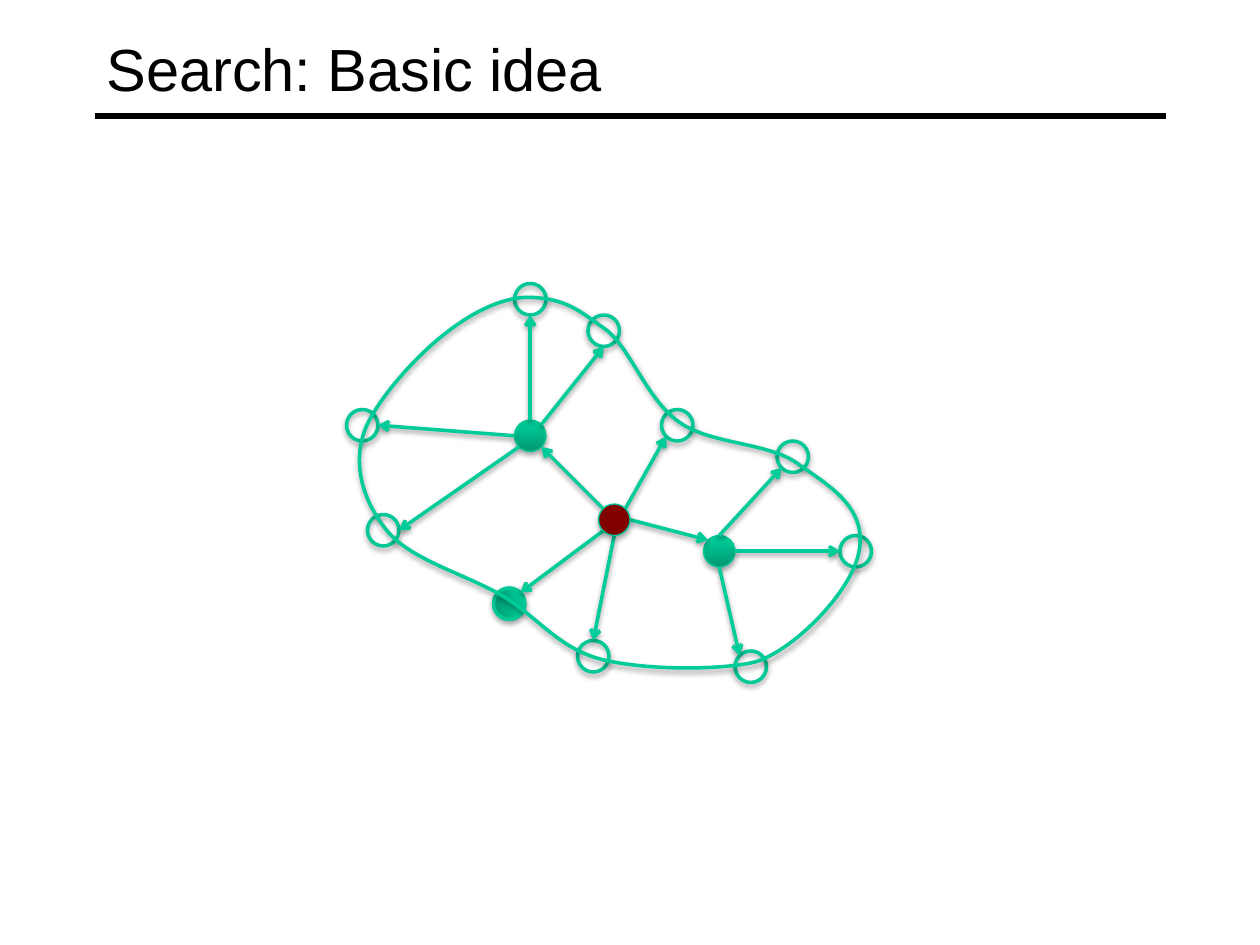
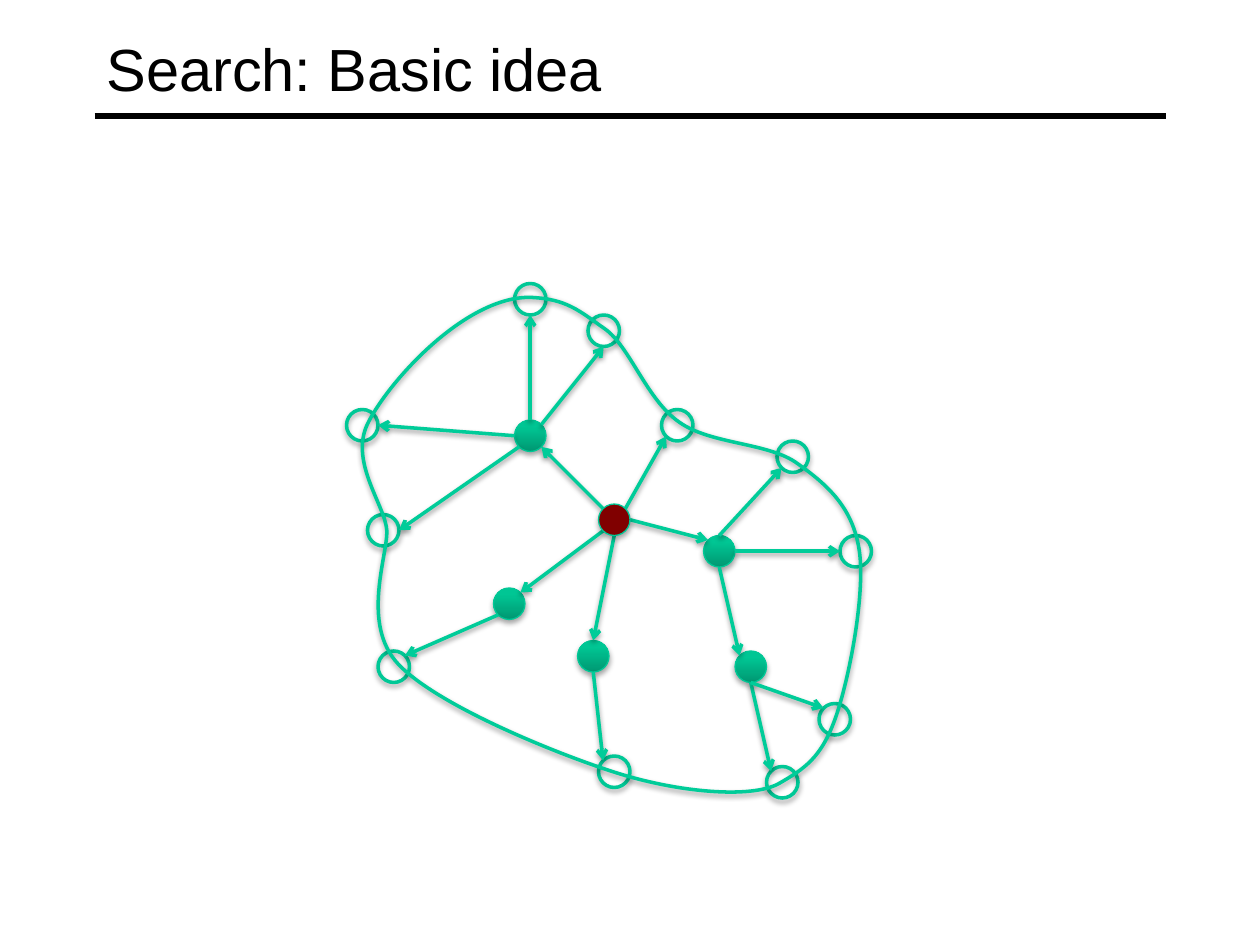
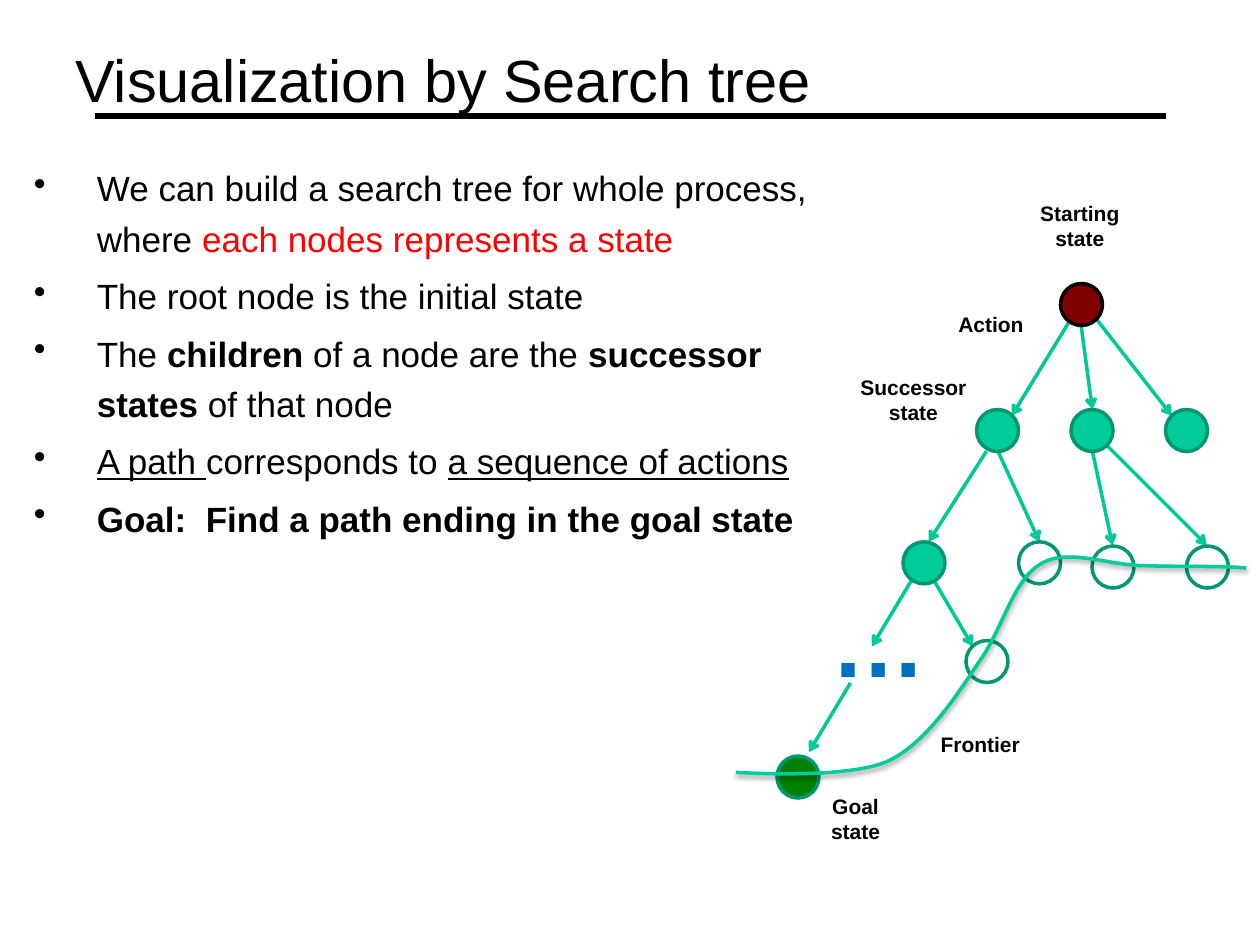
"""Build three slides that show how a graph search grows its frontier and its tree."""
from math import cos, radians, sin

from lxml.etree import SubElement
from pptx import Presentation
from pptx.dml.color import RGBColor
from pptx.enum.shapes import MSO_CONNECTOR, MSO_SHAPE
from pptx.enum.text import MSO_ANCHOR, PP_ALIGN
from pptx.oxml.ns import qn
from pptx.util import Inches, Pt

FONT = "Arial"
BLACK = RGBColor(0x00, 0x00, 0x00)
WHITE = RGBColor(0xFF, 0xFF, 0xFF)
RED = RGBColor(0xFF, 0x00, 0x00)
BLUE = RGBColor(0x00, 0x70, 0xC0)
MAROON = RGBColor(0x80, 0x00, 0x00)
GOAL_GREEN = RGBColor(0x00, 0x80, 0x00)
TEAL = RGBColor(0x00, 0xCC, 0x99)
RING_TEAL = RGBColor(0x00, 0xC8, 0x96)
EDGE_TEAL = RGBColor(0x00, 0x97, 0x71)
DEEP_TEAL = RGBColor(0x00, 0x98, 0x72)
BRIGHT_TEAL = RGBColor(0x00, 0xC6, 0x94)

GRID = 1 / 12
STATE_SIZE = 3 * GRID
TREE_SIZE = 4 * GRID
NODE_SHADOW = (35, 1.8)
LINE_SHADOW = (38, 1.6)
SIDES = {"e": 0, "se": 45, "s": 90, "sw": 135, "w": 180, "nw": 225, "n": 270, "ne": 315}

IDEA_TITLE = ("Search: Basic idea", (0.75, 0.08, 8.5, 0.92))
TREE_TITLE = ("Visualization by Search tree", (0.5, 0, 9, 1.25))

STATES = {
    "upper": (49, 40), "lower": (47, 56), "bottom": (55, 61), "middle": (63, 39),
    "right": (67, 51), "right low": (70, 62), "far right": (80, 51), "right high": (74, 42),
    "far left": (33, 39), "left": (35, 49), "peak right": (56, 30), "peak": (49, 27),
    "start": (57, 48),
}
NEXT_STATES = {
    "lower left": (36, 62), "deep": (57, 72), "deep right": (73, 73), "deep far": (78, 67),
}
ACTIONS = [
    ("start", "nw", "upper", "se"), ("start", "ne", "middle", "sw"),
    ("start", "sw", "lower", "ne"), ("start", "s", "bottom", "n"),
    ("start", "e", "right", "nw"), ("upper", "ne", "peak right", "s"),
    ("upper", "n", "peak", "s"), ("upper", "w", "far left", "e"),
    ("upper", "sw", "left", "e"), ("right", "s", "right low", "nw"),
    ("right", "n", "right high", "sw"), ("right", "e", "far right", "w"),
]
NEXT_ACTIONS = [
    ("bottom", "s", "deep", "nw"), ("right low", "s", "deep right", "nw"),
    ("right low", "s", "deep far", "nw"), ("lower", "sw", "lower left", "ne"),
]
CHOSEN = {"upper", "lower", "right"}
NEXT_CHOSEN = CHOSEN | {"bottom", "right low"}

RIM_LEFT = [(4.2, 2.36), (3.67, 2.36), (3.05, 3.07), (2.91, 3.38)]
RIM_RIGHT = [
    (6.57, 3.85), (6.33, 3.68), (6.1, 3.51), (5.64, 3.53), (5.39, 3.35),
    (5.13, 3.17), (5, 2.75), (4.8, 2.61), (4.6, 2.47), (4.5, 2.37), (4.2, 2.36),
]
FRONTIER = RIM_LEFT + [
    (2.78, 3.68), (2.89, 3.99), (3.07, 4.21), (3.25, 4.44), (3.7, 4.56), (3.99, 4.73),
    (4.27, 4.9), (4.43, 5.14), (4.76, 5.23), (5.1, 5.32), (5.69, 5.32), (5.97, 5.26),
    (6.25, 5.2), (6.76, 4.72), (6.82, 4.37), (6.88, 4.02),
] + RIM_RIGHT
NEXT_FRONTIER = RIM_LEFT + [
    (2.78, 3.68), (3.06, 4.02), (3.07, 4.21), (3.08, 4.4), (2.86, 4.95), (3.16, 5.27),
    (3.46, 5.59), (4.38, 5.97), (4.88, 6.13), (5.38, 6.29), (5.96, 6.34), (6.18, 6.22),
    (6.39, 6.1), (6.52, 6.01), (6.63, 5.7), (6.74, 5.39), (6.87, 4.71), (6.82, 4.37),
    (6.77, 4.03),
] + RIM_RIGHT
TREE_FRONTIER = [
    (9.89, 4.51), (9.76, 4.49), (9.35, 4.5), (9.08, 4.49), (8.81, 4.49), (8.48, 4.35),
    (8.27, 4.47), (8.05, 4.59), (7.97, 4.95), (7.8, 5.21), (7.63, 5.46), (7.37, 5.89),
    (7.05, 6.04), (6.72, 6.19), (5.84, 6.13), (5.84, 6.13),
]
IDEA_STEPS = [
    (STATES, ACTIONS, CHOSEN, FRONTIER),
    (NEXT_STATES | STATES, ACTIONS + NEXT_ACTIONS, NEXT_CHOSEN, NEXT_FRONTIER),
]

PLAIN, BOLD, UNDERLINED, STRESSED = "plain", "bold", "underlined", "stressed"
POINTS = [
    [("We can build a search tree for whole process, where ", PLAIN),
     ("each nodes represents a state", STRESSED)],
    [("The root node is the initial state", PLAIN)],
    [("The ", PLAIN), ("children", BOLD), (" of a node are the ", PLAIN),
     ("successor states", BOLD), (" of that node", PLAIN)],
    [("A path ", UNDERLINED), ("corresponds to ", PLAIN),
     ("a sequence of actions", UNDERLINED)],
    [("Goal:  Find a path ending in the goal state", BOLD)],
]
TREE_NODES = [
    (TEAL, EDGE_TEAL, [(93, 39), (102, 39), (111, 39), (86, 51.6)]),
    (WHITE, EDGE_TEAL, [(97, 51.6), (104, 52), (113, 52), (92, 61)]),
    (GOAL_GREEN, EDGE_TEAL, [(74, 72)]),
    (MAROON, BLACK, [(101, 27)]),
]
TREE_ARROWS = [
    ((8.5, 2.53), (8.03, 3.3)), ((8.58, 2.58), (8.67, 3.25)), ((8.7, 2.53), (9.3, 3.3)),
    ((7.83, 3.58), (7.37, 4.3)), ((7.92, 3.58), (8.25, 4.3)), ((8.67, 3.58), (8.83, 4.33)),
    ((8.78, 3.53), (9.58, 4.33)), ((7.25, 4.58), (6.92, 5.13)), ((7.42, 4.62), (7.72, 5.13)),
    ((6.75, 5.42), (6.42, 5.97)),
]
TREE_LABELS = [
    ("Starting state", (7.97, 1.54, 1.2, 0.5), True),
    ("Successor state", (6.58, 2.92, 1.34, 0.5), True),
    ("Action", (7.5, 2.42, 0.73, 0.3), False),
    ("Goal state", (6.33, 6.25, 0.92, 0.5), True),
    ("Frontier", (7.36, 5.76, 0.84, 0.3), False),
]


def set_shadow(part, shadow=None):
    effects = SubElement(part._element.spPr, qn("a:effectLst"))
    if shadow:
        opacity, distance = shadow
        outer = SubElement(effects, qn("a:outerShdw"), blurRad=str(Pt(3.1)),
                           dist=str(Pt(distance)), dir="5400000", rotWithShape="0")
        color = SubElement(outer, qn("a:srgbClr"), val=str(BLACK))
        SubElement(color, qn("a:alpha"), val=str(opacity * 1000))


def set_line(part, color, width):
    part.line.color.rgb = color
    part.line.width = Pt(width)


def set_font(paragraph, size, color=BLACK, bold=False):
    font = paragraph.font
    font.name, font.size, font.bold = FONT, Pt(size), bold
    font.color.rgb = color


def add_frame(slide, box, wrap=True):
    frame = slide.shapes.add_textbox(*map(Inches, box)).text_frame
    frame.word_wrap = wrap
    return frame


def add_line(slide, begin, end, color, width, arrow=True, shadow=None):
    line = slide.shapes.add_connector(MSO_CONNECTOR.STRAIGHT, *map(Inches, begin + end))
    set_line(line, color, width)
    if arrow:
        SubElement(line._element.spPr.find(qn("a:ln")), qn("a:tailEnd"), type="arrow")
    set_shadow(line, shadow)


def add_node(slide, cell, size, fill, edge, width, shadow=None, angle=90):
    left, top = (Inches(step * GRID) for step in cell)
    node = slide.shapes.add_shape(MSO_SHAPE.OVAL, left, top, Inches(size), Inches(size))
    if fill is None:
        node.fill.background()
    elif isinstance(fill, RGBColor):
        node.fill.solid()
        node.fill.fore_color.rgb = fill
    else:
        node.fill.gradient()
        node.fill.gradient_angle = angle
        for stop, (position, color) in zip(node.fill.gradient_stops, fill):
            stop.position = position
            stop.color.rgb = color
    set_line(node, edge, width)
    set_shadow(node, shadow)


def add_curve(slide, points, close):
    start, *controls = [(Inches(x), Inches(y)) for x, y in points]
    builder = slide.shapes.build_freeform(*start)
    builder.add_line_segments(controls, close=close)
    curve = builder.convert_to_shape()
    segments = list(curve._element.iter(qn("a:lnTo")))
    for first, second, third in zip(*[iter(segments)] * 3):
        first.tag = qn("a:cubicBezTo")
        for segment in (second, third):
            first.append(segment[0])
            segment.getparent().remove(segment)
    curve.fill.background()
    set_line(curve, TEAL, 2)
    set_shadow(curve, LINE_SHADOW)


def add_titled_slide(deck, title, box):
    slide = deck.slides.add_slide(deck.slide_layouts[6])
    add_line(slide, (0.75, 0.92), (9.25, 0.92), BLACK, 3, arrow=False)
    frame = add_frame(slide, box)
    frame.vertical_anchor = MSO_ANCHOR.MIDDLE
    frame.text = title
    set_font(frame.paragraphs[0], 34)
    return slide


def add_label(slide, text, box, wrap, size=12, color=BLACK):
    frame = add_frame(slide, box, wrap)
    frame.text = text
    frame.paragraphs[0].alignment = PP_ALIGN.CENTER
    set_font(frame.paragraphs[0], size, color, bold=True)


def side_point(cell, side):
    turn, radius = radians(SIDES[side]), STATE_SIZE / 2
    return (cell[0] * GRID + radius * (1 + cos(turn)),
            cell[1] * GRID + radius * (1 + sin(turn)))


def add_idea_slide(deck, states, actions, chosen, frontier):
    slide = add_titled_slide(deck, *IDEA_TITLE)
    parents = {action[0] for action in actions}
    for state, cell in states.items():
        if state != "start":
            fill = [(0, DEEP_TEAL), (0.8, BRIGHT_TEAL)] if state in chosen else None
            expanded = state in parents
            add_node(slide, cell, STATE_SIZE, fill, RING_TEAL, 0.75 if expanded else 2,
                     NODE_SHADOW, 90 if expanded else 0)
    for parent, leave, child, arrive in actions:
        add_line(slide, side_point(states[parent], leave), side_point(states[child], arrive),
                 TEAL, 2, shadow=LINE_SHADOW)
    add_curve(slide, frontier, close=True)
    add_node(slide, states["start"], STATE_SIZE, MAROON, RING_TEAL, 0.75, NODE_SHADOW)


def add_points(slide):
    frame = add_frame(slide, (0.17, 1.21, 6.42, 6.04))
    for index, pieces in enumerate(POINTS):
        point = frame.paragraphs[0] if index == 0 else frame.add_paragraph()
        point.line_spacing = 1.2
        point.space_before = Pt(4 if index else 0)
        layout = point._p.get_or_add_pPr()
        layout.set("marL", str(Inches(0.5)))
        layout.set("indent", str(-Inches(0.5)))
        SubElement(layout, qn("a:buChar"), char="•")
        set_font(point, 20, bold=all(style == BOLD for _, style in pieces))
        for text, style in pieces:
            run = point.add_run()
            run.text = text
            if style == BOLD:
                run.font.bold = True
            elif style == UNDERLINED:
                run.font.underline = True
            elif style == STRESSED:
                run.font.color.rgb = RED


def add_tree_slide(deck):
    slide = add_titled_slide(deck, *TREE_TITLE)
    add_points(slide)
    add_label(slide, "…", (6.5, 4.58, 0.74, 1.01), False, 54, BLUE)
    for begin, end in TREE_ARROWS:
        add_line(slide, begin, end, RING_TEAL, 2)
    for fill, edge, cells in TREE_NODES:
        for cell in cells:
            add_node(slide, cell, TREE_SIZE, fill, edge, 2)
    add_curve(slide, TREE_FRONTIER, close=False)
    for label in TREE_LABELS:
        add_label(slide, *label)


def main():
    deck = Presentation()
    deck.slide_width, deck.slide_height = Inches(10), Inches(7.5)
    for step in IDEA_STEPS:
        add_idea_slide(deck, *step)
    add_tree_slide(deck)
    deck.save("out.pptx")


if __name__ == "__main__":
    main()
